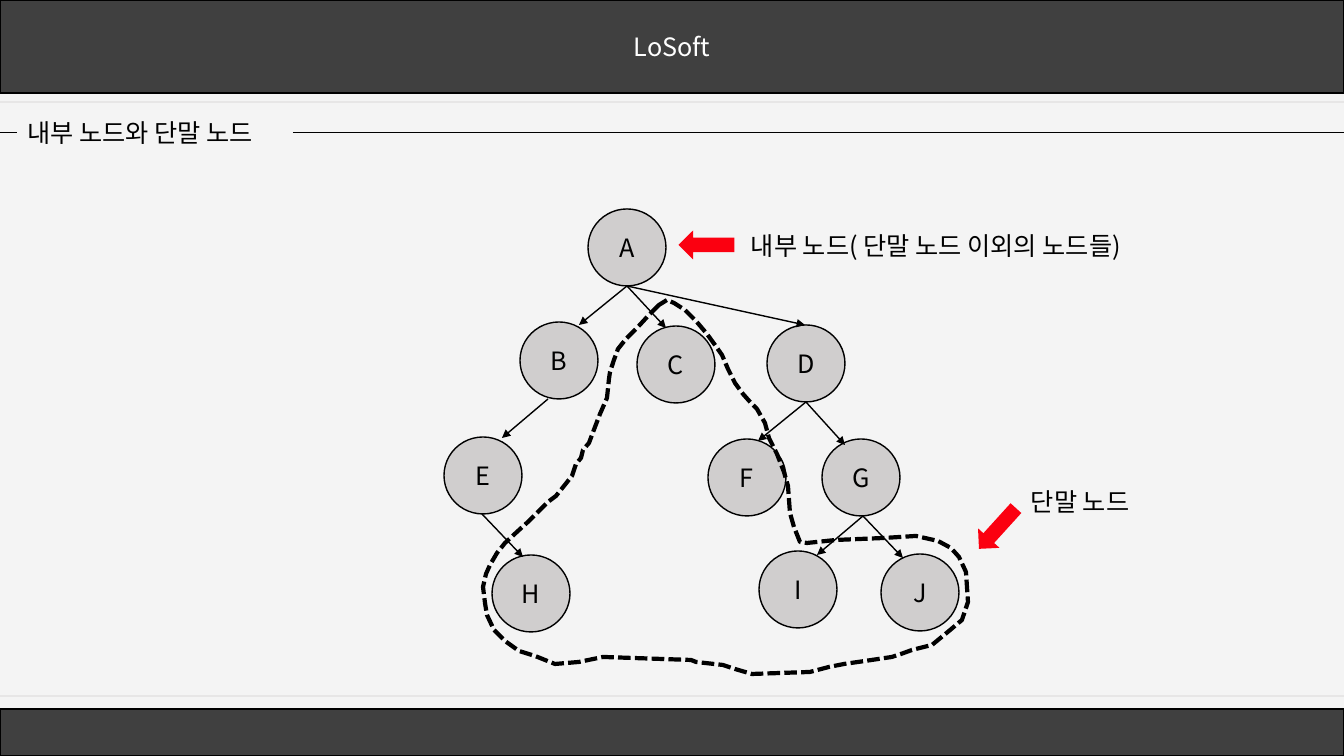
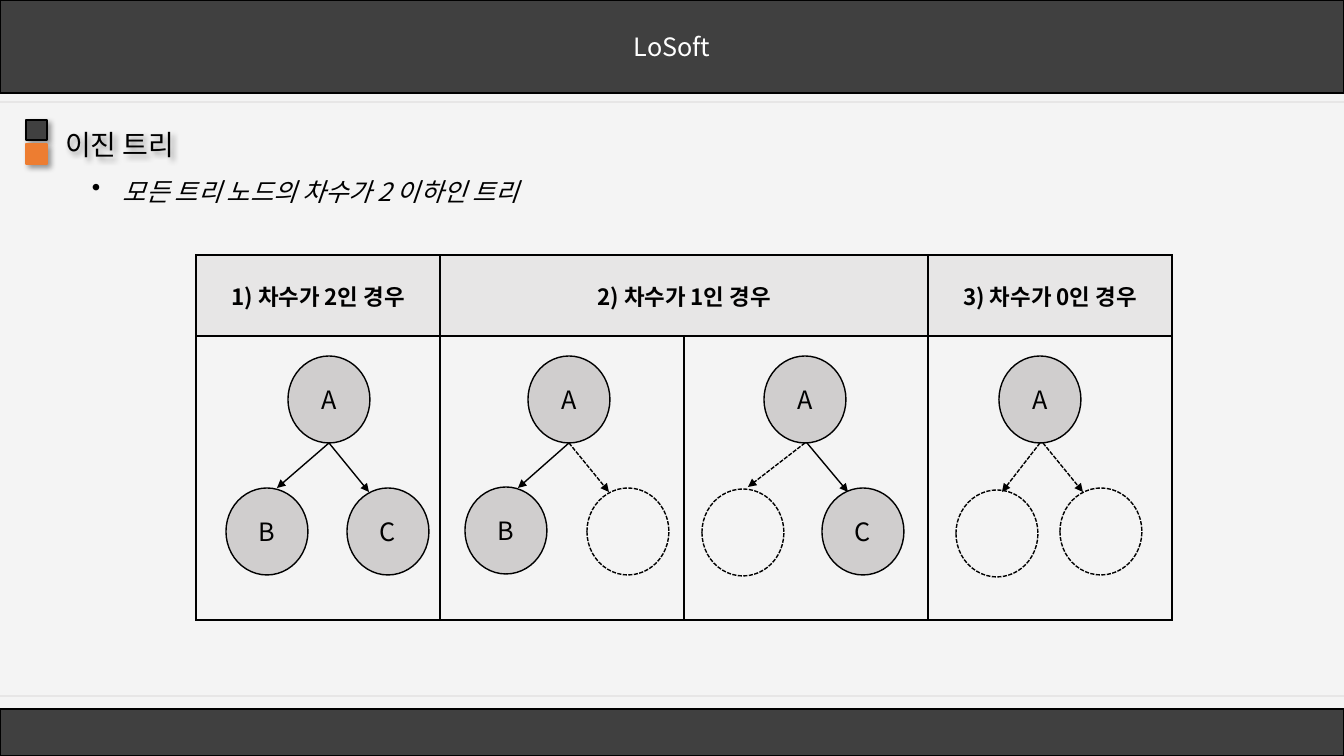
from dataclasses import dataclass

from pptx import Presentation
from pptx.dml.color import RGBColor
from pptx.enum.dml import MSO_LINE
from pptx.enum.shapes import MSO_CONNECTOR, MSO_SHAPE
from pptx.enum.text import MSO_ANCHOR, MSO_AUTO_SIZE, PP_ALIGN
from pptx.oxml.ns import qn
from pptx.util import Emu, Pt
from lxml import etree

SCALE = 914400 / 100.8
WIDTH, HEIGHT = 1344, 756
RECT, OVAL, DOWN_ARROW = MSO_SHAPE.RECTANGLE, MSO_SHAPE.OVAL, MSO_SHAPE.DOWN_ARROW
STRAIGHT = MSO_CONNECTOR.STRAIGHT
DASH = MSO_LINE.SQUARE_DOT
LEFT, CENTER = PP_ALIGN.LEFT, PP_ALIGN.CENTER
TOP, MIDDLE = MSO_ANCHOR.TOP, MSO_ANCHOR.MIDDLE
NO_AUTOFIT = MSO_AUTO_SIZE.NONE


@dataclass(frozen=True)
class Theme:
    font: str = "Noto Sans CJK KR"
    paper: str = "F4F4F4"
    band: str = "404040"
    ink: str = "000000"
    white: str = "FFFFFF"
    rule: str = "E7E6E6"
    node: str = "D0CECE"
    accent: str = "ED7D31"
    pointer: str = "FB0010"
    body_size: float = 18
    heading_size: float = 20
    table_size: float = 16
    hairline: float = 0.5
    thin: float = 1
    rule_width: float = 1.5
    thick: float = 3


THEME = Theme()
BRAND = "LoSoft"

TREE_NODES = {
    "A": (144, 0), "B": (76, 113), "C": (193, 117), "D": (323, 116), "E": (0, 228),
    "F": (264, 230), "G": (378, 230), "H": (48, 346), "I": (315, 342), "J": (437, 345),
}
TREE_EDGES = [
    ("A", 0, (-48, 39)), ("A", 0, (39, 42)), ("A", 0, (178, 39)),
    ("B", -11, (-46, 39)), ("E", -1, (41, 43)),
    ("D", 0, (-48, 39)), ("D", 0, (39, 43)),
    ("G", 2, (-46, 39)), ("G", 2, (40, 42)),
]
LEAF_OUTLINE = [
    (176, 5), (165, 16), (154, 28), (143, 39), (135, 49), (131, 60), (127, 72), (126, 79),
    (124, 98), (117, 114), (112, 127), (106, 143), (100, 150), (98, 158), (93, 164),
    (89, 176), (81, 186), (73, 196), (65, 202), (58, 209), (46, 221), (35, 231), (22, 243),
    (14, 253), (7, 265), (3, 274), (0, 287), (2, 303), (4, 315), (11, 330), (22, 341),
    (36, 351), (52, 356), (72, 364), (96, 362), (120, 357), (208, 360), (213, 362),
    (240, 365), (252, 369), (269, 374), (327, 372), (346, 367), (361, 364), (382, 361),
    (409, 357), (418, 354), (429, 350), (449, 345), (466, 331), (479, 320), (485, 302),
    (483, 272), (476, 257), (468, 248), (455, 241), (433, 236), (401, 238), (353, 240),
    (324, 243), (317, 242), (311, 227), (307, 213), (305, 186), (301, 172), (294, 154),
    (286, 138), (282, 123), (274, 109), (268, 103), (260, 94), (252, 83), (245, 69),
    (239, 55), (232, 45), (224, 34), (213, 21), (202, 10), (191, 3), (184, 0),
]
BINARY_TREES = [
    (92, [("B", (-62, 132), 0, (-52, 45)), ("C", (59, 132), 0, (40, 49))]),
    (332, [("B", (-63, 131), 0, (-51, 45)), ("", (59, 132), 0, (40, 49))]),
    (568, [("", (-62, 133), 0, (-57, 44)), ("C", (58, 132), 2, (41, 49))]),
    (803, [("", (-43, 134), 0, (-38, 49)), ("", (61, 132), 3, (40, 49))]),
]


def px(value):
    return Emu(round(value * SCALE))


def rgb(value):
    return RGBColor.from_string(value)


def write(frame, text, size=THEME.body_size, color=THEME.ink, bold=False, italic=False,
          align=LEFT, anchor=TOP, wrap=True):
    frame.word_wrap = wrap
    frame.vertical_anchor = anchor
    paragraph = frame.paragraphs[0]
    paragraph.alignment = align
    run = paragraph.add_run()
    run.text = text
    font = run.font
    font.name, font.size, font.bold, font.italic = THEME.font, Pt(size), bold, italic
    font.color.rgb = rgb(color)
    etree.SubElement(run._r.rPr, qn("a:ea"), typeface=THEME.font)
    return paragraph


def stroke(line, color=THEME.ink, width=THEME.thin, dash=None):
    line.color.rgb = rgb(color)
    line.width = Pt(width)
    if dash:
        line.dash_style = dash


def add_block(slide, kind, box, fill=None, line=THEME.ink, dash=None):
    block = slide.shapes.add_shape(kind, *map(px, box))
    block.shadow.inherit = False
    if fill:
        block.fill.solid()
        block.fill.fore_color.rgb = rgb(fill)
    else:
        block.fill.background()
    if line:
        stroke(block.line, line, dash=dash)
    else:
        block.line.fill.background()
    return block


def add_label(slide, box, text, **style):
    label = slide.shapes.add_textbox(*map(px, box))
    return write(label.text_frame, text, **style)


def add_line(slide, start, end, arrow=False, **style):
    connector = slide.shapes.add_connector(STRAIGHT, *map(px, (*start, *end)))
    stroke(connector.line, **style)
    etree.SubElement(connector._element.spPr, qn("a:effectLst"))
    if arrow:
        etree.SubElement(connector.line._get_or_add_ln(), qn("a:tailEnd"), type="triangle")


def cast_shadow(part):
    part.shadow.inherit = False
    effects = part._element.spPr.find(qn("a:effectLst"))
    shadow = etree.SubElement(effects, qn("a:outerShdw"), blurRad=str(Pt(4)),
                              dist=str(Pt(3)), dir="2700000", algn="tl", rotWithShape="0")
    tint = etree.SubElement(shadow, qn("a:srgbClr"), val=THEME.ink)
    etree.SubElement(tint, qn("a:alpha"), val="40000")


def set_title(slide, box, text, **style):
    title = slide.shapes.title
    title.left, title.top, title.width, title.height = map(px, box)
    title.text_frame.auto_size = NO_AUTOFIT
    write(title.text_frame, text, **style)
    return title


def add_frame(slide):
    header = add_block(slide, RECT, (0, 0, WIDTH, 93), THEME.band)
    write(header.text_frame, BRAND, color=THEME.white, align=CENTER, anchor=MIDDLE)
    add_block(slide, RECT, (0, 709, WIDTH, 47), THEME.band)
    for y in (102, 696):
        add_line(slide, (0, y), (WIDTH, y), color=THEME.rule, width=THEME.rule_width)


def new_slide(deck):
    slide = deck.slides.add_slide(deck.slide_layouts[5])
    add_frame(slide)
    return slide


def add_node(slide, box, name):
    if not name:
        add_block(slide, OVAL, box, dash=DASH)
        return
    node = add_block(slide, OVAL, box, THEME.node)
    write(node.text_frame, name, align=CENTER, anchor=MIDDLE)


def add_branch(slide, parent, shift, step, dash=None):
    left, top, width, height = parent
    x, y = left + width / 2 + shift, top + height
    add_line(slide, (x, y), (x + step[0], y + step[1]), arrow=True, dash=dash)


def add_tree(slide, box):
    left, top = box[:2]
    places = {name: (left + x, top + y, 78, 77) for name, (x, y) in TREE_NODES.items()}
    for name, place in places.items():
        add_node(slide, place, name)
    for parent, shift, step in TREE_EDGES:
        add_branch(slide, places[parent], shift, step)


def add_leaf_outline(slide, box):
    left, top = box[:2]
    points = [(px(left + x), px(top + y)) for x, y in LEAF_OUTLINE]
    builder = slide.shapes.build_freeform(*points[0], scale=1.0)
    builder.add_line_segments(points[1:], close=True)
    outline = builder.convert_to_shape()
    outline.shadow.inherit = False
    outline.fill.background()
    stroke(outline.line, width=THEME.thick, dash=DASH)


def add_callout(slide, box, rotation, text, offset, width):
    left, top = box[:2]
    pointer = add_block(slide, DOWN_ARROW, box, THEME.pointer, line=None)
    pointer.rotation = rotation
    add_label(slide, (left + offset[0], top + offset[1], width, 40), text)


def add_ruled_title(slide, box, text):
    left, top, width, height = box
    set_title(slide, box, text, wrap=False)
    y = top + height / 2
    for start, end in ((0, left), (left + width, WIDTH)):
        add_line(slide, (start, y), (end, y), width=THEME.hairline)


def add_marked_title(slide, box, text):
    left, top = box[:2]
    cast_shadow(set_title(slide, box, text, size=THEME.heading_size))
    for row, (fill, line) in enumerate(((THEME.band, THEME.ink), (THEME.accent, THEME.accent))):
        marker = add_block(slide, RECT, (left - 29, top - 2 + 24 * row, 21, 20), fill, line)
        cast_shadow(marker)


def add_bullet(slide, box, text):
    properties = add_label(slide, box, text, italic=True, wrap=False)._p.get_or_add_pPr()
    properties.set("marL", str(px(31)))
    properties.set("indent", str(px(-31)))
    etree.SubElement(properties, qn("a:buChar"), char="•")


def border_cell(cell):
    properties = cell._tc.get_or_add_tcPr()
    for index, side in enumerate(("lnL", "lnR", "lnT", "lnB")):
        edge = etree.Element(qn(f"a:{side}"), w=str(Pt(THEME.thin)))
        fill = etree.SubElement(edge, qn("a:solidFill"))
        etree.SubElement(fill, qn("a:srgbClr"), val=THEME.ink)
        properties.insert(index, edge)


def add_case_table(slide, box):
    table = slide.shapes.add_table(2, 4, *map(px, box)).table
    table.first_row = table.horz_banding = False
    for column in table.columns:
        column.width = px(box[2] / 4)
    table.rows[0].height, table.rows[1].height = px(81), px(box[3] - 81)
    for index, cell in enumerate(table.iter_cells()):
        if index < 4:
            cell.fill.solid()
            cell.fill.fore_color.rgb = rgb(THEME.rule)
        else:
            cell.fill.background()
        border_cell(cell)
    table.cell(0, 1).merge(table.cell(0, 2))
    headings = {0: "1) 차수가 2인 경우", 1: "2) 차수가 1인 경우", 3: "3) 차수가 0인 경우"}
    for column, heading in headings.items():
        cell = table.cell(0, column)
        cell.vertical_anchor = MIDDLE
        write(cell.text_frame, heading, size=THEME.table_size, bold=True,
              align=CENTER, anchor=MIDDLE)


def add_binary_trees(slide, box):
    left, top = box[:2]
    for root_left, branches in BINARY_TREES:
        root = (left + root_left, top + 101, 82, 87)
        add_node(slide, root, "A")
        for child, (dx, dy), shift, step in branches:
            add_branch(slide, root, shift, step, dash=None if child else DASH)
            add_node(slide, (root[0] + dx, root[1] + dy, 82, 87), child)


def build_node_kinds(deck):
    slide = new_slide(deck)
    add_ruled_title(slide, (17, 112, 276, 40), "내부 노드와 단말 노드")
    add_tree(slide, (444, 209, 515, 423))
    add_callout(slide, (692, 217, 29, 56), 90, "내부 노드( 단말 노드 이외의 노드들)", (49, 8), 441)
    add_callout(slide, (983, 501, 29, 55), 42.2, "단말 노드", (38, -20), 169)
    add_leaf_outline(slide, (483, 300, 485, 374))


def build_binary_tree(deck):
    slide = new_slide(deck)
    add_marked_title(slide, (55, 122, 534, 44), "이진 트리")
    add_bullet(slide, (82, 171, 502, 40), "모든 트리 노드의 차수가 2 이하인 트리")
    cases = (196, 255, 976, 365)
    add_case_table(slide, cases)
    add_binary_trees(slide, cases)


def main():
    deck = Presentation()
    deck.slide_width, deck.slide_height = px(WIDTH), px(HEIGHT)
    paper = deck.slide_master.background.fill
    paper.solid()
    paper.fore_color.rgb = rgb(THEME.paper)
    build_node_kinds(deck)
    build_binary_tree(deck)
    deck.save("out.pptx")


main()
